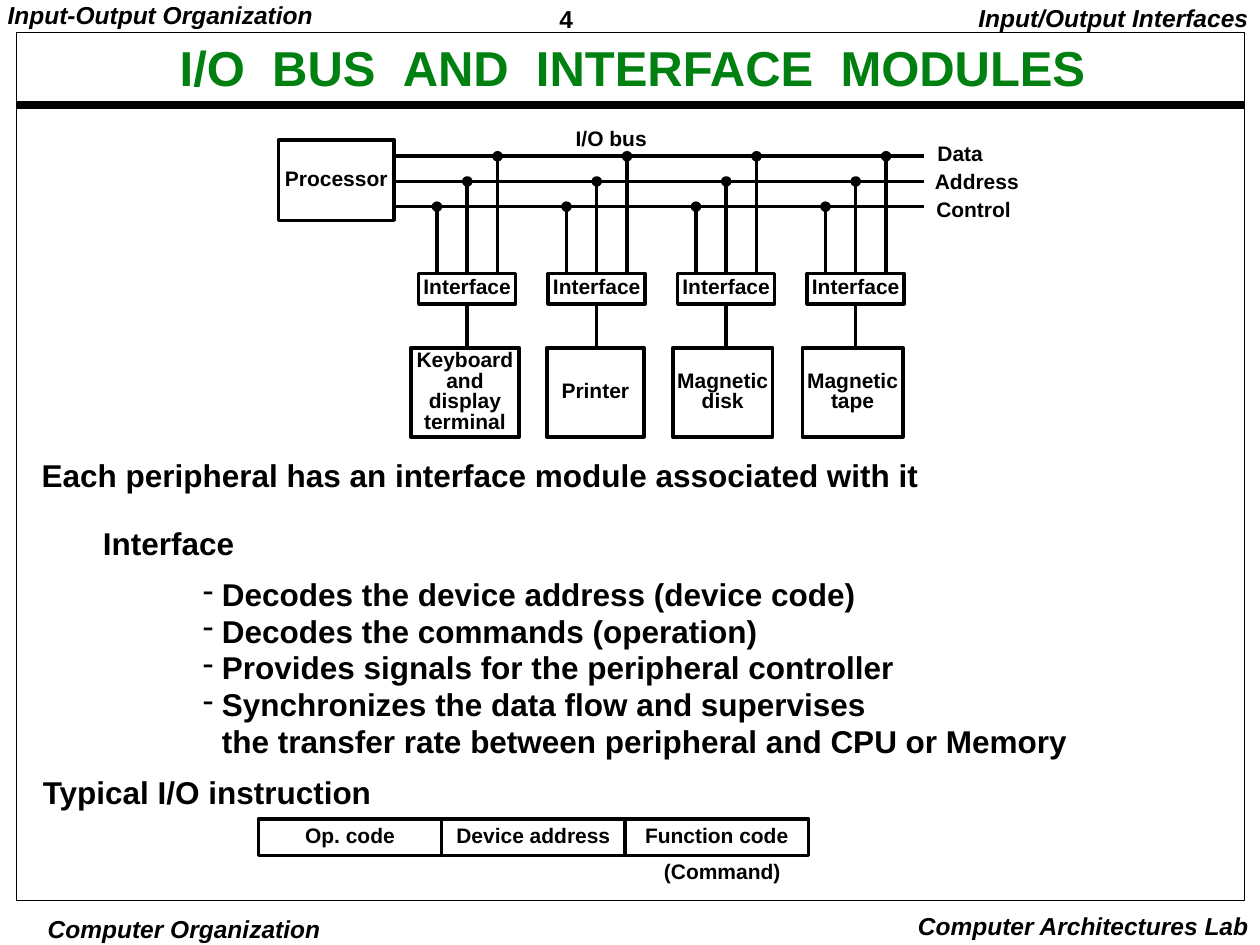
import pptx
import pptx.util
import pptx.dml.color
import pptx.enum.shapes
import pptx.enum.text
import pptx.oxml
from lxml import etree

Pt = pptx.util.Pt
SHAPE = pptx.enum.shapes.MSO_SHAPE
ALIGN = pptx.enum.text.PP_ALIGN
ANCHOR = pptx.enum.text.MSO_ANCHOR
BLACK = pptx.dml.color.RGBColor(0, 0, 0)
GREEN = pptx.dml.color.RGBColor(0x00, 0x80, 0x11)

SMALL = {"name": "Arial", "size": Pt(12), "bold": True}
BODY = {**SMALL, "size": Pt(18)}
NUMBER = {**SMALL, "size": Pt(14)}
RUNNING = {**NUMBER, "italic": True}
HEADING = {**SMALL, "size": Pt(28)}

TITLE = "I/O BUS AND INTERFACE MODULES"
TITLE_GAP = 7.8  # extra points between the words
# text, left, top, width, alignment, format
LABELS = [
    ("4", 319.7, 4, 68, ALIGN.LEFT, NUMBER),
    ("Input-Output Organization", 4.3, 2, 176, ALIGN.LEFT, RUNNING),
    ("Input/Output Interfaces", 553, 3.6, 160.5, ALIGN.RIGHT, RUNNING),
    ("Computer Organization", 25.2, 524, 160, ALIGN.CENTER, RUNNING),
    ("Computer Architectures Lab", 513, 522.5, 200.5, ALIGN.RIGHT, RUNNING),
    ("Typical I/O instruction", 24.5, 444.3, 190, ALIGN.LEFT, BODY),
    ("(Command)", 379.4, 492.4, 70, ALIGN.LEFT, SMALL),
    ("I/O bus", 329, 73.4, 45, ALIGN.LEFT, SMALL),
    ("Data", 535.7, 82, 60, ALIGN.LEFT, SMALL),
    ("Address", 534.2, 97.9, 60, ALIGN.LEFT, SMALL),
    ("Control", 535, 113.8, 60, ALIGN.LEFT, SMALL),
]
INTRO = ["Each peripheral has an interface module associated with it", "Interface"]
# \v is a line break inside one list item
DUTIES = [
    "Decodes the device address (device code)",
    "Decodes the commands (operation)",
    "Provides signals for the peripheral controller",
    "Synchronizes the data flow and supervises\v"
    "the transfer rate between peripheral and CPU or Memory",
]
# name, left, width
DEVICES = [
    ("Keyboard\nand\ndisplay\nterminal", 234.7, 62),
    ("Printer", 312.5, 55.5),
    ("Magnetic\ndisk", 384.5, 57),
    ("Magnetic\ntape", 458.5, 57.5),
]
FIELDS = ["Op. code", "Device address", "Function code"]

BUS_LEFT, BUS_RIGHT, BUS_TOP, BUS_GAP, BUS_COUNT = 225.5, 528, 89.3, 14.4, 3
FIRST_DEVICE, DEVICE_PITCH, TAP_GAP = 267, 74, 17.3
INTERFACE_TOP, INTERFACE_WIDTH, INTERFACE_HEIGHT = 156.2, 55.4, 17.5
DEVICE_TOP, DEVICE_HEIGHT = 198.7, 51
DOT = 4
FIELD_LEFT, FIELD_TOP, FIELD_WIDTH, FIELD_HEIGHT = 147.6, 468, 104.8, 21

deck = pptx.Presentation()
deck.slide_width, deck.slide_height = Pt(720), Pt(540)
page = deck.slides.add_slide(deck.slide_layouts[6])


def style(font, values, color=BLACK):
    for name, value in values.items():
        setattr(font, name, value)
    font.color.rgb = color


def prepare(frame, anchor):
    values = {"margin_left": 0, "margin_right": 0, "margin_top": 0,
              "margin_bottom": 0, "word_wrap": False, "vertical_anchor": anchor}
    for name, value in values.items():
        setattr(frame, name, value)


def add_text(text, left, top, width, height, align, values, spacing=0.9):
    box = page.shapes.add_textbox(Pt(left), Pt(top), Pt(width), Pt(height))
    prepare(box.text_frame, ANCHOR.TOP)
    box.text_frame.text = text
    for para in box.text_frame.paragraphs:
        para.alignment, para.line_spacing = align, spacing
        for span in para.runs:
            style(span.font, values)
    return box.text_frame


def add_block(left, top, width, height, text="", kind=SHAPE.RECTANGLE, weight=2):
    block = page.shapes.add_shape(kind, Pt(left), Pt(top), Pt(width), Pt(height))
    block.shadow.inherit = False
    block.fill.background()
    block.line.color.rgb, block.line.width = BLACK, Pt(weight)
    if text:
        prepare(block.text_frame, ANCHOR.MIDDLE)
        block.text_frame.text = text
        for para in block.text_frame.paragraphs:
            para.alignment, para.line_spacing = ALIGN.CENTER, Pt(11.75)
            style(para.font, SMALL)
    return block


def add_line(x1, y1, x2, y2, weight=2):
    line = page.shapes.add_connector(
        pptx.enum.shapes.MSO_CONNECTOR.STRAIGHT, Pt(x1), Pt(y1), Pt(x2), Pt(y2))
    line.line.color.rgb, line.line.width = BLACK, Pt(weight)
    etree.SubElement(line.element.spPr, pptx.oxml.ns.qn("a:effectLst"))


def add_title():
    frame = add_text("", 47.5, 18.7, 627.8, 43.2, ALIGN.CENTER, HEADING)
    frame.vertical_anchor = ANCHOR.MIDDLE
    para = frame.paragraphs[0]
    for position, word in enumerate(TITLE.split()):
        for piece in ([" "] if position else []) + [word]:
            span = para.add_run()
            span.text = piece
            style(span.font, HEADING, GREEN)
            if piece == " ":
                span.font._element.set("spc", str(round(TITLE_GAP * 100)))


def add_dash(para, indent=10.8):
    properties = para._p.get_or_add_pPr()
    properties.set("marL", str(Pt(indent)))
    properties.set("indent", str(-Pt(indent)))
    etree.SubElement(properties, pptx.oxml.ns.qn("a:buChar")).set("char", "-")


add_block(9.4, 18.7, 702, 496, weight=0.5)
add_line(9.4, 59.8, 710.6, 59.8, weight=4.5)
add_title()
for text, left, top, width, align, values in LABELS:
    add_text(text, left, top, width, values["size"].pt * 1.2, align, values)

intro = add_text("\n".join(INTRO), 23.8, 262.8, 506, 60, ALIGN.LEFT, BODY)
intro.paragraphs[1].space_before = Pt(19.4)
intro.paragraphs[1]._p.get_or_add_pPr().set("marL", str(Pt(35)))

duties = add_text("\n".join(DUTIES), 116, 329.8, 500, 105, ALIGN.LEFT, BODY, 0.97)
for para in duties.paragraphs:
    add_dash(para)

add_block(159.1, 79.9, 66.2, 46, "Processor")
bus_lines = [BUS_TOP + BUS_GAP * row for row in range(BUS_COUNT)]
for y in bus_lines:
    add_line(BUS_LEFT, y, BUS_RIGHT, y)

for column, (device, left, width) in enumerate(DEVICES):
    center = FIRST_DEVICE + DEVICE_PITCH * column
    for row, y in enumerate(bus_lines):
        x = center + TAP_GAP * (1 - row)
        add_line(x, y, x, INTERFACE_TOP)
        dot = add_block(x - DOT / 2, y - DOT / 2, DOT, DOT, kind=SHAPE.OVAL)
        dot.fill.solid()
        dot.fill.fore_color.rgb = BLACK
    add_block(center - INTERFACE_WIDTH / 2, INTERFACE_TOP,
              INTERFACE_WIDTH, INTERFACE_HEIGHT, "Interface")
    add_line(center, INTERFACE_TOP + INTERFACE_HEIGHT, center, DEVICE_TOP)
    add_block(left, DEVICE_TOP, width, DEVICE_HEIGHT, device)

for column, field in enumerate(FIELDS):
    add_block(FIELD_LEFT + FIELD_WIDTH * column, FIELD_TOP,
              FIELD_WIDTH, FIELD_HEIGHT, field)

deck.save("out.pptx")
